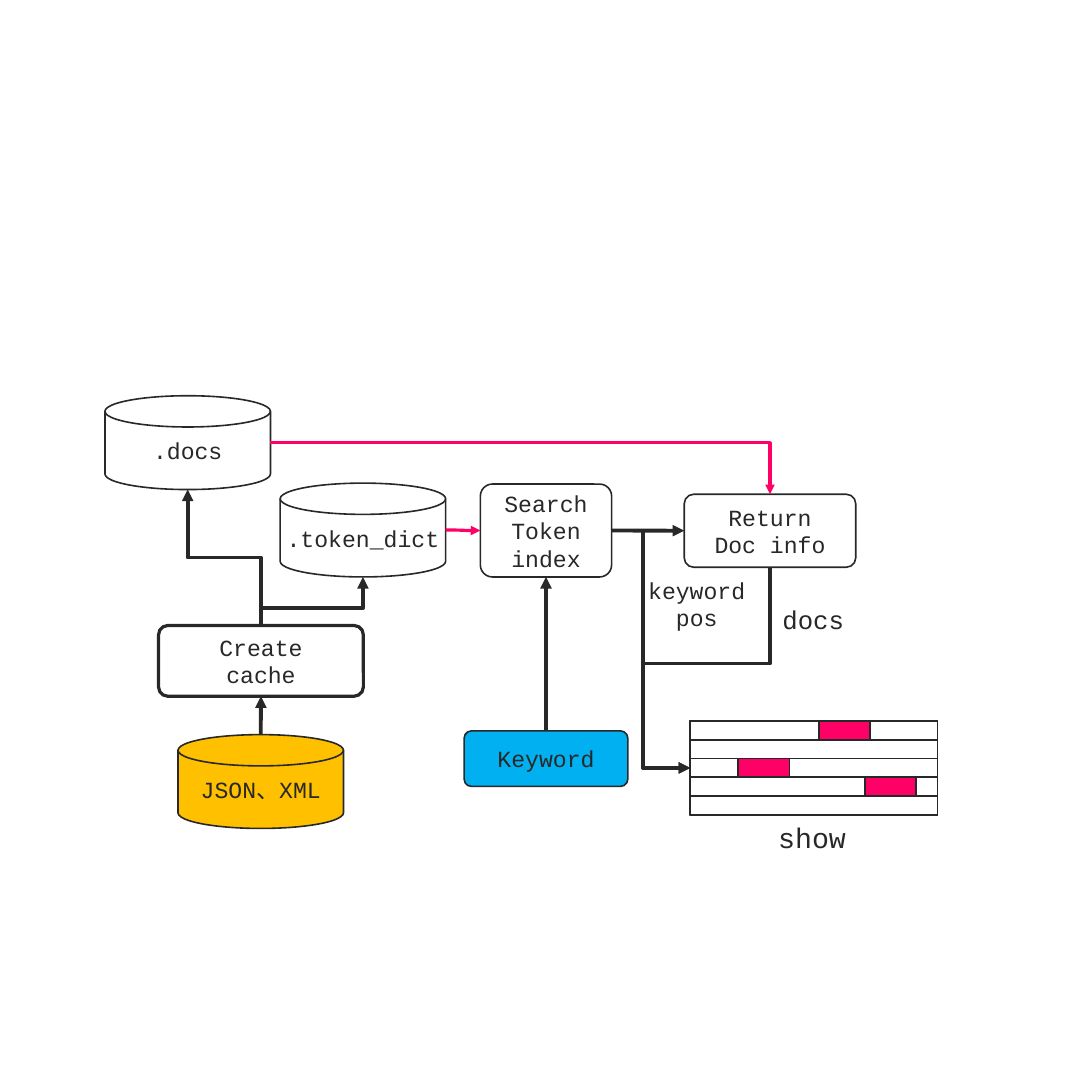
from lxml import etree
from pptx import Presentation
from pptx import util as u
from pptx.dml.color import RGBColor
from pptx.enum import shapes, text
from pptx.oxml.ns import qn

PX = 9144  # 100 px to the inch
INK, PINK, AMBER, BLUE = "282828", "FF0066", "FFC000", "00B0F0"
KIND = shapes.MSO_SHAPE
ELBOW = shapes.MSO_CONNECTOR.ELBOW
TOP, BOTTOM, LEFT, RIGHT = (0.5, 0), (0.5, 1), (0, 0.5), (1, 0.5)


def color(value):
    return RGBColor.from_string(value)


def write(sp, lines, size=36, font="Courier New", fill=INK):
    tf = sp.text_frame
    tf.word_wrap = True
    tf.vertical_anchor = text.MSO_ANCHOR.MIDDLE
    for i, line in enumerate(lines):
        p = tf.add_paragraph() if i else tf.paragraphs[0]
        p.alignment = text.PP_ALIGN.CENTER
        r = p.add_run()
        r.text = line
        r.font.size, r.font.name = u.Pt(size), font
        r.font.color.rgb = color(fill)
        ea = etree.SubElement(r.font._element, qn("a:ea"))
        ea.set("typeface", font)


def node(s, kind, box, lines=(), fill=None, width=2.5, size=36):
    """Add a shape; a width of 0 leaves out its outline."""
    sp = s.shapes.add_shape(kind, *(v * PX for v in box))
    sp.shadow.inherit = False
    if kind == KIND.ROUNDED_RECTANGLE:
        sp.adjustments[0] = 0.13
    if fill:
        sp.fill.solid()
        sp.fill.fore_color.rgb = color(fill)
    else:
        sp.fill.background()
    if width:
        sp.line.width = u.Pt(width)
        sp.line.color.rgb = color(INK)
    else:
        sp.line.fill.background()
    if lines:
        write(sp, lines, size)
    return sp


def link(s, source, start, target, end, preset="line", adjust=(),
         stroke=INK, width=6):
    """Add an arrow between two shape sides; bends leave at right angles to the side."""
    (x1, y1), (x2, y2) = [
        (round(sp.left + fx * sp.width), round(sp.top + fy * sp.height))
        for sp, (fx, fy) in ((source, start), (target, end))]
    dx, dy = x2 - x1, y2 - y1
    turned = preset != "line" and start in (TOP, BOTTOM)
    if turned:
        w, h = abs(dy), abs(dx)
        left, top = (x1 + x2 - w) // 2, (y1 + y2 - h) // 2
        c = s.shapes.add_connector(ELBOW, left, top, left + w, top + h)
        xfrm = c._element.spPr.find(qn("a:xfrm"))
        xfrm.set("rot", str((90 if dy > 0 else 270) * 60000))
        if dx * dy > 0:
            xfrm.set("flipV", "1")
    else:
        c = s.shapes.add_connector(ELBOW, x1, y1, x2, y2)
    geom = c._element.spPr.find(qn("a:prstGeom"))
    geom.set("prst", preset)
    guides = geom.find(qn("a:avLst"))
    for i, value in enumerate(adjust, 1):
        gd = etree.SubElement(guides, qn("a:gd"))
        gd.set("name", f"adj{i}")
        gd.set("fmla", f"val {round(value * 100000)}")
    c.line.width = u.Pt(width)
    c.line.color.rgb = color(stroke)
    etree.SubElement(c.line._get_or_add_ln(), qn("a:tailEnd")).set("type", "triangle")
    etree.SubElement(c._element.spPr, qn("a:effectLst"))


def cache_region(s, x, y):
    disk = KIND.FLOWCHART_MAGNETIC_DISK
    w, h = 358, 203
    create = node(s, KIND.ROUNDED_RECTANGLE, (x + 116, y + 497, 443, 153),
                  ["Create", "cache"], width=5)
    data = node(s, disk, (x + 158, y + 733, w, h), ["JSON、XML"], AMBER)
    docs = node(s, disk, (x, y, w, h), [".docs"])
    tokens = node(s, disk, (x + 379, y + 189, w, h), [".token_dict"])
    link(s, data, TOP, create, BOTTOM)
    link(s, create, TOP, docs, BOTTOM, "bentConnector3", [0.5])
    link(s, create, TOP, tokens, BOTTOM, "bentConnector3", [0.36])
    return docs, tokens


def search_region(s, x, y):
    box = KIND.ROUNDED_RECTANGLE
    search = node(s, box, (x + 35, y, 284, 201), ["Search", "Token", "index"])
    keyword = node(s, box, (x, y + 534, 354, 120), ["Keyword"], BLUE)
    info = node(s, box, (x + 476, y + 22, 371, 158), ["Return", "Doc info"])
    node(s, box, (x + 662, y + 245, 186, 94), ["docs"], width=0, size=40)
    node(s, box, (x + 368, y + 193, 270, 132), ["keyword", "pos"], width=0)
    link(s, keyword, TOP, search, BOTTOM)
    link(s, search, RIGHT, info, LEFT)
    return search, info


def show_region(s, x, y, w, h):
    """Draw the result page: rows of text with the hits marked."""
    hits = [278, None, 104, 378, None]
    hit_width, row = 111, h / len(hits)
    for i, hit in enumerate(hits):
        cuts = [0, w] if hit is None else [0, hit, hit + hit_width, w]
        for j, (a, b) in enumerate(zip(cuts, cuts[1:])):
            cell = [round(v) for v in (x + a, y + i * row, b - a, row)]
            node(s, KIND.RECTANGLE, cell, fill=PINK if j == 1 else None)
    node(s, KIND.ROUNDED_RECTANGLE, (x + 103, y + h, 321, 94), ["show"],
         width=0, size=44)
    return node(s, KIND.RECTANGLE, (x, y, w, h))


def main():
    prs = Presentation()
    prs.slide_width = prs.slide_height = 2362 * PX
    s = prs.slides.add_slide(prs.slide_layouts[6])
    docs, tokens = cache_region(s, 227, 856)
    search, info = search_region(s, 1004, 1047)
    page = show_region(s, 1493, 1559, 535, 204)
    link(s, tokens, RIGHT, search, LEFT, "curvedConnector3", [0.5], PINK, 5)
    link(s, docs, RIGHT, info, TOP, "bentConnector2", stroke=PINK, width=5)
    link(s, search, RIGHT, page, LEFT, "bentConnector3", [0.4])
    link(s, info, BOTTOM, page, LEFT, "bentConnector4", [0.48, 1.59])
    prs.save("out.pptx")


if __name__ == "__main__":
    main()
